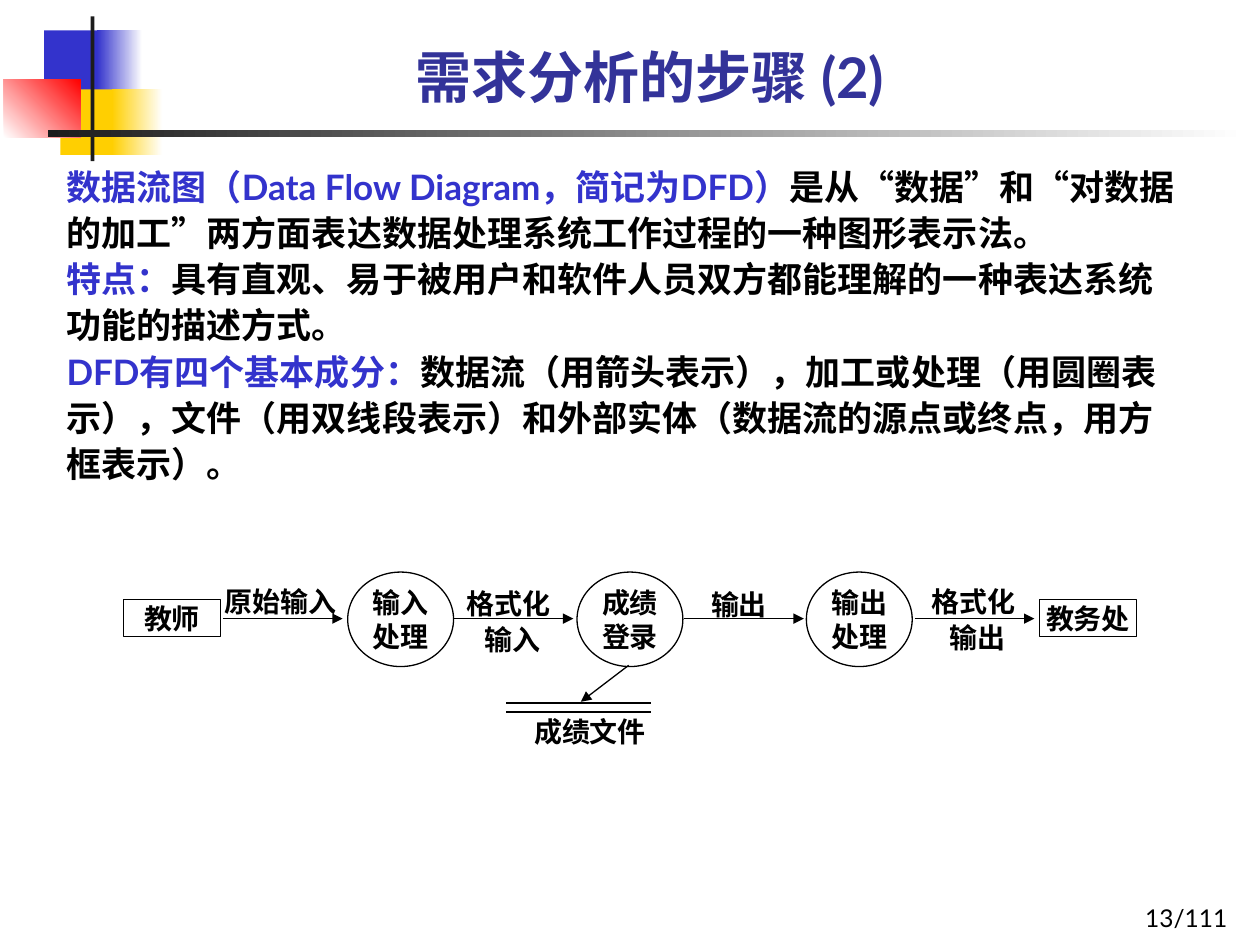
from lxml import etree
from pptx import Presentation
from pptx.dml.color import RGBColor
from pptx.enum.shapes import MSO_CONNECTOR as Connector, MSO_SHAPE as Shape
from pptx.enum.text import MSO_ANCHOR as Anchor, PP_ALIGN as Align
from pptx.oxml.ns import qn
from pptx.util import Inches, Pt

COLORS = {
    "black": "000000", "white": "FFFFFF", "blue": "3333CC", "title": "333399",
    "yellow": "FFCF01", "red": "FF0000", "charcoal": "1C1C1C",
}
LATO = "Lato"
TIMES = "Times New Roman"


def rgb(name):
    return RGBColor.from_string(COLORS[name])


class SlideBuilder:
    """Holds the diagram style and the slide being drawn; boxes are (left, top, width, height) in inches."""

    line_width = Pt(0.75)
    label_format = {"size": 16, "font": TIMES, "bold": True, "align": Align.CENTER,
                    "anchor": Anchor.MIDDLE, "margins": (0, 0)}

    def __init__(self, slide):
        self.slide = slide

    def fill_text(self, shape, paragraphs, size=16, font=LATO, color="black", bold=False,
                  align=Align.LEFT, anchor=Anchor.TOP, margins=(0.1, 0.05), spacing=None):
        """Fill a shape with paragraphs, each a string or a list of (text, overrides) runs."""
        frame = shape.text_frame
        frame.word_wrap = True
        frame.vertical_anchor = anchor
        frame.margin_left = frame.margin_right = Inches(margins[0])
        frame.margin_top = frame.margin_bottom = Inches(margins[1])
        for index, content in enumerate(paragraphs):
            paragraph = frame.add_paragraph() if index else frame.paragraphs[0]
            paragraph.alignment = align
            paragraph.line_spacing = spacing
            runs = [(content, {})] if isinstance(content, str) else content
            for text, override in runs:
                run = paragraph.add_run()
                run.text = text
                run.font.size = Pt(size)
                run.font.bold = bold
                run.font.name = override.get("font", font)
                run.font.color.rgb = rgb(override.get("color", color))

    def text(self, box, paragraphs, **text_format):
        shape = self.slide.shapes.add_textbox(*map(Inches, box))
        self.fill_text(shape, paragraphs, **text_format)

    def label(self, box, text, **text_format):
        self.text(box, [text], **{**self.label_format, **text_format})

    def block(self, box, color, end_color=None, angle=0):
        """Draw a borderless rectangle, with a gradient when end_color is given."""
        shape = self.slide.shapes.add_shape(Shape.RECTANGLE, *map(Inches, box))
        shape.shadow.inherit = False
        shape.line.fill.background()
        if end_color is None:
            shape.fill.solid()
            shape.fill.fore_color.rgb = rgb(color)
            return
        shape.fill.gradient()
        shape.fill.gradient_angle = angle
        for stop, position, name in zip(shape.fill.gradient_stops, (0, 1), (color, end_color)):
            stop.position = position
            stop.color.rgb = rgb(name)

    def node(self, kind, box, lines):
        shape = self.slide.shapes.add_shape(kind, *map(Inches, box))
        shape.shadow.inherit = False
        shape.fill.solid()
        shape.fill.fore_color.rgb = rgb("white")
        shape.line.color.rgb = rgb("black")
        shape.line.width = self.line_width
        self.fill_text(shape, lines, **self.label_format)

    def line(self, start, end, arrow=False):
        connector = self.slide.shapes.add_connector(
            Connector.STRAIGHT, *map(Inches, (*start, *end)))
        connector.line.color.rgb = rgb("black")
        connector.line.width = self.line_width
        properties = connector.element.spPr
        if arrow:
            outline = properties.find(qn("a:ln"))
            etree.SubElement(outline, qn("a:tailEnd"), type="triangle")
        etree.SubElement(properties, qn("a:effectLst"))


def draw_ornament(builder):
    builder.block((0.35, 0.24, 0.48, 0.52), "blue")
    builder.block((0.77, 0.24, 0.36, 0.52), "blue", "white")
    builder.block((0.48, 0.71, 0.46, 0.52), "yellow")
    builder.block((0.89, 0.71, 0.4, 0.52), "yellow", "white")
    builder.block((0.03, 0.63, 0.61, 0.46), "white", "red", angle=45)
    builder.block((0.72, 0.13, 0.03, 1.15), "charcoal")
    builder.block((0.38, 1.03, 9.51, 0.06), "charcoal", "white")


def draw_text(builder):
    blue = {"color": "blue"}
    quote = {"font": TIMES}
    builder.text((7.76, 6.95, 2.08, 0.5), ["13/111"], size=14,
                 align=Align.RIGHT, anchor=Anchor.BOTTOM)
    builder.text((0.43, 1.23, 9.06, 2.99), [
        [("数据流图（Data Flow Diagram，简记为DFD）", blue), ("是从", {}),
         ("“", quote), ("数据", {}), ("”", quote), ("和", {}),
         ("“", quote), ("对数据的加工", {}), ("”", quote),
         ("两方面表达数据处理系统工作过程的一种图形表示法。", {})],
        [("特点：", blue),
         ("具有直观、易于被用户和软件人员双方都能理解的一种表达系统功能的描述方式。", {})],
        [("DFD有四个基本成分：", blue),
         ("数据流（用箭头表示），加工或处理（用圆圈表示），文件（用双线段表示）"
          "和外部实体（数据流的源点或终点，用方框表示）。", {})],
    ], size=20, bold=True, spacing=1.1)
    builder.text((0.9, 0.05, 8.52, 0.87), ["需求分析的步骤 (2)"], size=32, color="title",
                 bold=True, align=Align.CENTER, anchor=Anchor.BOTTOM)


def draw_data_flow(builder):
    flow_y = 4.91
    for left, entity in ((0.98, "教师"), (8.25, "教务处")):
        builder.node(Shape.RECTANGLE, (left, 4.76, 0.77, 0.29), [entity])
    processes = (("输入", "处理"), ("成绩", "登录"), ("输出", "处理"))
    for index, lines in enumerate(processes):
        builder.node(Shape.OVAL, (2.76 + 1.82 * index, 4.54, 0.84, 0.75), lines)
    for index in range(len(processes) + 1):
        start = 1.77 + 1.83 * index
        builder.line((start, flow_y), (start + 0.95, flow_y), arrow=True)

    flow_labels = (
        (1.65, 4.63, 1.15, "原始输入"),
        (3.65, 4.64, 0.77, "格式化"), (3.78, 4.93, 0.57, "输入"),
        (5.58, 4.65, 0.57, "输出"),
        (7.34, 4.63, 0.77, "格式化"), (7.47, 4.91, 0.57, "输出"),
    )
    for left, top, width, text in flow_labels:
        builder.label((left, top, width, 0.29), text)

    for file_y in (5.58, 5.65):
        builder.line((4.02, file_y), (5.17, file_y))
    builder.label((4.24, 5.66, 0.96, 0.29), "成绩文件", align=Align.JUSTIFY)
    builder.line((4.99, 5.28), (4.61, 5.57), arrow=True)


def main():
    presentation = Presentation()
    presentation.slide_width = Inches(10)
    presentation.slide_height = Inches(7.5)
    builder = SlideBuilder(presentation.slides.add_slide(presentation.slide_layouts[6]))
    draw_ornament(builder)
    draw_text(builder)
    draw_data_flow(builder)
    presentation.save("out.pptx")


if __name__ == "__main__":
    main()
